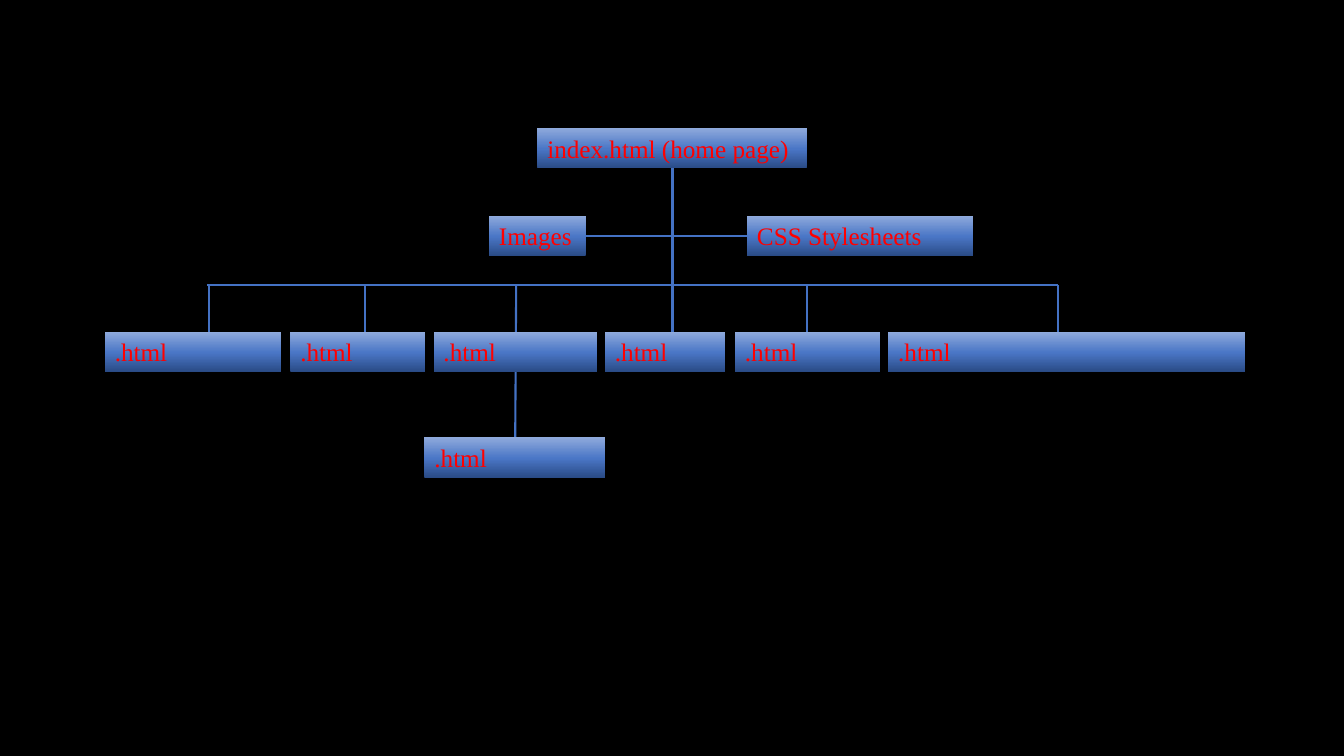
from copy import deepcopy
from dataclasses import dataclass

from lxml import etree
from pptx import Presentation
from pptx.dml.color import RGBColor
from pptx.enum.shapes import MSO_CONNECTOR
from pptx.enum.text import MSO_AUTO_SIZE
from pptx.oxml.ns import qn
from pptx.util import Inches, Pt

STRAIGHT = MSO_CONNECTOR.STRAIGHT
GROW = MSO_AUTO_SIZE.SHAPE_TO_FIT_TEXT


@dataclass(frozen=True)
class Theme:
    """Colours, type and line sizes of the site map."""
    back: str = "000000"
    text: str = "FF0000"
    line: str = "4472C4"
    fade: tuple = ((0, "2A4B86"), (0.48, "4A76C6"), (1, "8FAADC"))
    font: str = "Times New Roman"
    size: float = 18
    stroke: float = 1.5


THEME = Theme()
HIGH = 0.4
ROW = 3.29
BUS = 2.83
PAGES = ((1.04, 1.75), (2.88, 1.34), (4.3, 1.62),
         (6, 1.19), (7.29, 1.44), (8.81, 3.54))
DROPS = (2.07, 3.62, 8, 10.49)
FILES = (
    ("index.html (home page)", 5.33, 1.27, 2.67),
    ("Images", 4.85, 2.14, 0.96),
    ("CSS Stylesheets", 7.41, 2.14, 2.24),
    (".html", 4.21, 4.34, 1.79),
)


def shade(box):
    """Fill a box with the theme's fade, running from bottom to top."""
    fill = box.fill
    fill.gradient()
    fill.gradient_angle = 90
    stops = next(box._element.spPr.iter(qn("a:gsLst")))
    stops.append(deepcopy(stops[0]))
    for stop, (place, color) in zip(fill.gradient_stops, THEME.fade):
        stop.position = place
        stop.color.rgb = RGBColor.from_string(color)


def add_box(slide, text, left, top, width):
    """Add a shaded box that names one file."""
    box = slide.shapes.add_textbox(
        Inches(left), Inches(top), Inches(width), Inches(HIGH))
    shade(box)
    frame = box.text_frame
    frame.word_wrap = True
    frame.auto_size = GROW
    run = frame.paragraphs[0].add_run()
    run.text = text
    run.font.name = THEME.font
    run.font.size = Pt(THEME.size)
    run.font.color.rgb = RGBColor.from_string(THEME.text)


def add_line(slide, x1, y1, x2, y2):
    """Add a straight line without a shadow."""
    line = slide.shapes.add_connector(
        STRAIGHT, Inches(x1), Inches(y1), Inches(x2), Inches(y2))
    line.line.color.rgb = RGBColor.from_string(THEME.line)
    line.line.width = Pt(THEME.stroke)
    etree.SubElement(line._element.spPr, qn("a:effectLst"))


def main():
    """Build the site map slide and save it."""
    deck = Presentation()
    deck.slide_width = Inches(13.33)
    deck.slide_height = Inches(7.5)
    slide = deck.slides.add_slide(deck.slide_layouts[6])
    back = slide.background.fill
    back.solid()
    back.fore_color.rgb = RGBColor.from_string(THEME.back)

    for x in DROPS:
        add_line(slide, x, BUS, x, ROW + HIGH / 2)
    add_line(slide, 5.12, BUS, 5.11, 4.34)
    add_line(slide, 7.68, 2.34, 5.52, 2.34)
    add_line(slide, 6.67, 1.67, 6.67, 3.38)

    for file in FILES:
        add_box(slide, *file)
    for left, width in PAGES:
        add_box(slide, ".html", left, ROW, width)
    add_line(slide, 10.49, BUS, 2.05, BUS)
    deck.save("out.pptx")


if __name__ == "__main__":
    main()
